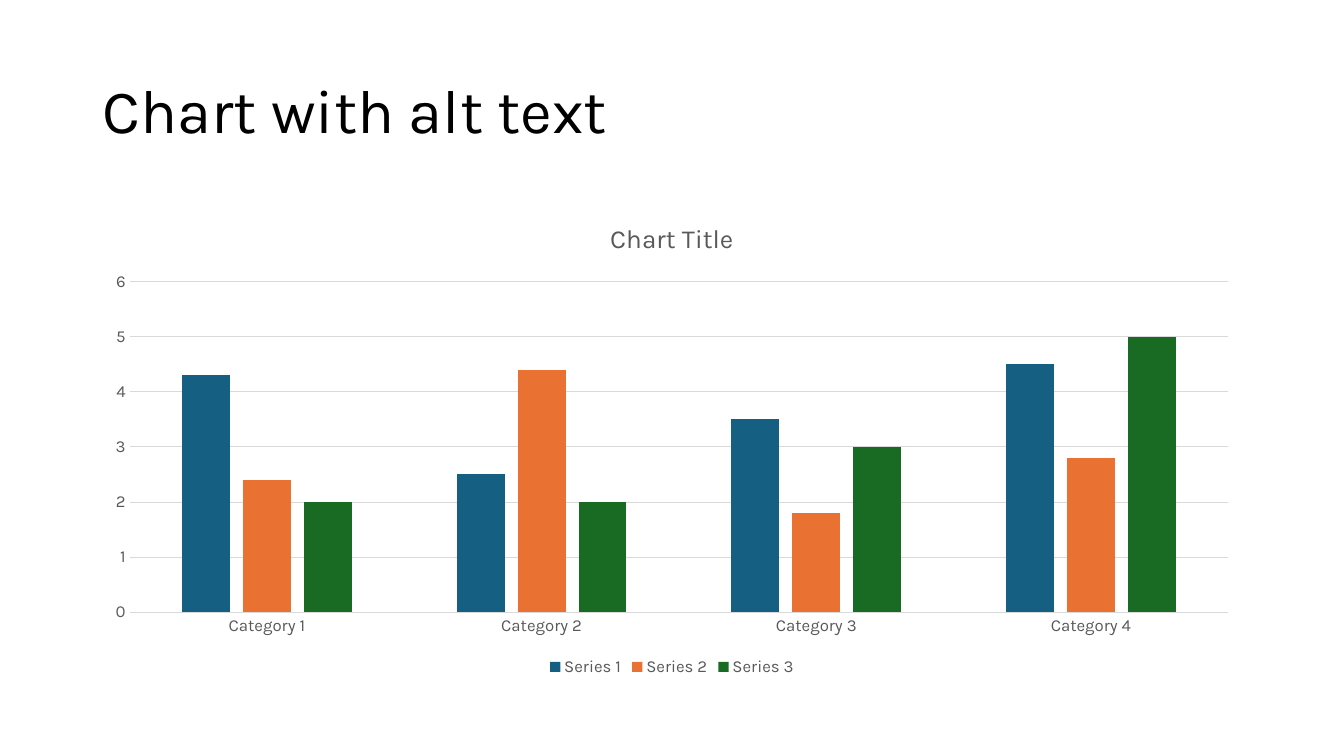
from dataclasses import dataclass

from pptx import Presentation
from pptx.chart.chart import Chart
from pptx.chart.data import CategoryChartData
from pptx.dml.color import RGBColor
from pptx.dml.line import LineFormat
from pptx.enum.chart import XL_CHART_TYPE, XL_LEGEND_POSITION, XL_TICK_MARK
from pptx.enum.text import MSO_ANCHOR
from pptx.slide import Slide
from pptx.text.text import Font
from pptx.util import Cm, Pt

FONT_NAME = "Karla"
TEXT_GREY = "595959"
LINE_GREY = "D9D9D9"
LEFT, WIDTH = Cm(2.33), Cm(29.21)


@dataclass(frozen=True)
class Series:
    name: str
    values: tuple[float, ...]
    color: str


CATEGORIES = [f"Category {number}" for number in range(1, 5)]
SERIES = (
    Series("Series 1", (4.3, 2.5, 3.5, 4.5), "156082"),
    Series("Series 2", (2.4, 4.4, 1.8, 2.8), "E97132"),
    Series("Series 3", (2, 2, 3, 5), "196B24"),
)


def rgb(color: str) -> RGBColor:
    return RGBColor.from_string(color)


def set_attributes(target: object, values: dict[str, object]) -> None:
    for name, value in values.items():
        setattr(target, name, value)


def style_font(font: Font, size: float, color: str) -> None:
    set_attributes(font, {"name": FONT_NAME, "size": Pt(size), "bold": False})
    font.color.rgb = rgb(color)


def style_line(line: LineFormat) -> None:
    line.color.rgb = rgb(LINE_GREY)
    line.width = Pt(0.75)


def add_title(page: Slide, text: str) -> None:
    box = page.shapes.add_textbox(LEFT, Cm(1.01), WIDTH, Cm(3.68))
    frame = box.text_frame
    set_attributes(frame, {"word_wrap": True, "vertical_anchor": MSO_ANCHOR.MIDDLE})
    para = frame.paragraphs[0]
    para.line_spacing = 0.9
    span = para.add_run()
    span.text = text
    style_font(span.font, 44, "000000")


def style_axes(chart: Chart) -> None:
    for axis in (chart.category_axis, chart.value_axis):
        set_attributes(axis, {
            "major_tick_mark": XL_TICK_MARK.NONE,
            "minor_tick_mark": XL_TICK_MARK.NONE,
        })
        style_font(axis.tick_labels.font, 12, TEXT_GREY)
    style_line(chart.category_axis.format.line)
    value_axis = chart.value_axis
    set_attributes(value_axis, {"minimum_scale": 0, "maximum_scale": 6, "major_unit": 1})
    value_axis.format.line.fill.background()
    style_line(value_axis.major_gridlines.format.line)


def add_column_chart(page: Slide, title: str) -> None:
    data = CategoryChartData()
    data.categories = CATEGORIES
    for series in SERIES:
        data.add_series(series.name, series.values)
    chart = page.shapes.add_chart(
        XL_CHART_TYPE.COLUMN_CLUSTERED, LEFT, Cm(5.07), WIDTH, Cm(12.09), data
    ).chart
    style_font(chart.font, 10, "000000")

    chart.has_title = True
    para = chart.chart_title.text_frame.paragraphs[0]
    span = para.add_run()
    span.text = title
    style_font(span.font, 18.6, TEXT_GREY)
    chart.chart_title.include_in_layout = False

    style_axes(chart)
    plot = chart.plots[0]
    set_attributes(plot, {"gap_width": 219, "overlap": -27, "vary_by_categories": False})
    for columns, series in zip(plot.series, SERIES):
        columns.format.fill.solid()
        columns.format.fill.fore_color.rgb = rgb(series.color)

    chart.has_legend = True
    set_attributes(chart.legend, {
        "position": XL_LEGEND_POSITION.BOTTOM,
        "include_in_layout": False,
    })
    style_font(chart.legend.font, 12, TEXT_GREY)


def main() -> None:
    deck = Presentation()
    set_attributes(deck, {"slide_width": Cm(33.87), "slide_height": Cm(19.05)})
    page = deck.slides.add_slide(deck.slide_layouts[6])
    add_title(page, "Chart with alt text")
    add_column_chart(page, "Chart Title")
    deck.save("out.pptx")


if __name__ == "__main__":
    main()
